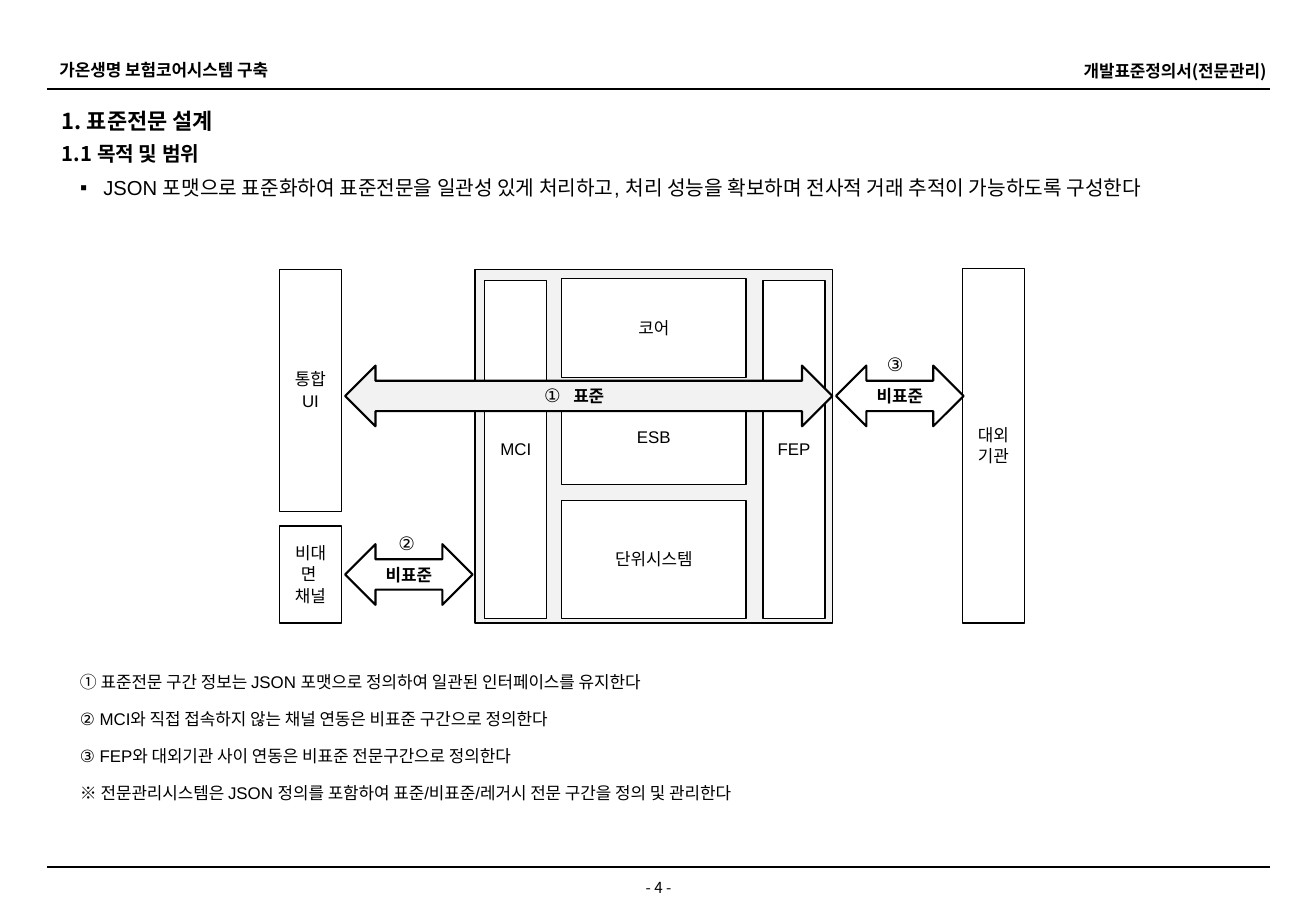
from lxml.etree import SubElement
from pptx import Presentation
from pptx.dml.color import RGBColor
from pptx.enum.shapes import MSO_CONNECTOR, MSO_SHAPE
from pptx.enum.text import MSO_ANCHOR, MSO_AUTO_SIZE, PP_ALIGN
from pptx.oxml.ns import qn
from pptx.util import Inches, Pt

NOTO, ARIAL, TIMES = "Noto Sans CJK KR", "Arial", "Times New Roman"
LEFT, MID, RIGHT = PP_ALIGN.LEFT, PP_ALIGN.CENTER, PP_ALIGN.RIGHT


def paint(text):
    return RGBColor.from_string(text)


class Page:
    ink, white, gray = "000000", "FFFFFF", "F2F2F2"

    def __init__(self, deck):
        self.slide = deck.slides.add_slide(deck.slide_layouts[1])
        self.shapes = self.slide.shapes

    def run(self, para, text, size, font, bold=False):
        run = para.add_run()
        run.text = text
        run.font.size = Pt(size)
        run.font.name = font
        run.font.bold = bold
        run.font.color.rgb = paint(self.ink)
        SubElement(run.font._element, qn("a:ea"), typeface=NOTO)

    def fill_in(self, frame, lines, size, font, bold=False, align=LEFT, pitch=1.0, after=0):
        for i, line in enumerate(lines):
            para = frame.add_paragraph() if i else frame.paragraphs[0]
            para.alignment = align
            para.line_spacing = pitch
            para.space_before = Pt(0)
            para.space_after = Pt(after)
            self.run(para, line, size, font, bold)

    def place(self, shape, area):
        shape.left, shape.top, shape.width, shape.height = map(Inches, area)
        frame = shape.text_frame
        frame.word_wrap = True
        frame.auto_size = MSO_AUTO_SIZE.NONE
        frame.vertical_anchor = MSO_ANCHOR.TOP
        return frame

    def title(self, area, parts):
        frame = self.place(self.shapes.title, area)
        para = frame.paragraphs[0]
        para.alignment = LEFT
        para.line_spacing = 1.3
        for i, (text, size) in enumerate(parts):
            if i:
                para.add_line_break()
            self.run(para, text, size, NOTO, True)

    def bullets(self, area, lines):
        frame = self.place(self.slide.placeholders[1], area)
        self.fill_in(frame, lines, 12, ARIAL, pitch=1.3)
        for para in frame.paragraphs:
            prop = para._p.get_or_add_pPr()
            prop.set("marL", str(Inches(0.19)))
            prop.set("indent", str(Inches(-0.19)))
            SubElement(prop, qn("a:buChar"), char="▪")

    def text(self, area, lines, size, font, wrap=True, **style):
        frame = self.shapes.add_textbox(*map(Inches, area)).text_frame
        frame.word_wrap = wrap
        self.fill_in(frame, lines, size, font, **style)

    def rule(self, y, width):
        line = self.shapes.add_connector(
            MSO_CONNECTOR.STRAIGHT, Inches(0.39), Inches(y), Inches(10.45), Inches(y))
        line.line.color.rgb = paint(self.ink)
        line.line.width = Pt(width)
        SubElement(line._element.spPr, qn("a:effectLst"))

    def shape(self, kind, area, fill, width):
        shape = self.shapes.add_shape(kind, *map(Inches, area))
        shape.shadow.inherit = False
        if fill:
            shape.fill.solid()
            shape.fill.fore_color.rgb = paint(fill)
        else:
            shape.fill.background()
        shape.line.color.rgb = paint(self.ink)
        shape.line.width = Pt(width)
        frame = shape.text_frame
        frame.word_wrap = True
        frame.vertical_anchor = MSO_ANCHOR.MIDDLE
        return frame

    def box(self, area, lines=(), fill=white):
        frame = self.shape(MSO_SHAPE.RECTANGLE, area, fill, 0.75)
        frame.margin_left = frame.margin_right = frame.margin_bottom = Inches(0.09)
        frame.margin_top = Inches(0.07)
        self.fill_in(frame, lines, 10, ARIAL, align=MID, pitch=1.06)

    def arrow(self, x, y, width, label, fill=None):
        frame = self.shape(MSO_SHAPE.LEFT_RIGHT_ARROW, (x, y, width, 0.5), fill, 1.25)
        self.fill_in(frame, [label], 10, TIMES, bold=True, align=MID)


def main():
    deck = Presentation()
    deck.slide_width, deck.slide_height = Inches(10.83), Inches(7.5)
    page = Page(deck)

    page.rule(0.73, 1.25)
    page.rule(7.14, 1)
    page.text((8.04, 0.45, 2.48, 0.27), ["개발표준정의서(전문관리)"], 10, NOTO, bold=True, align=RIGHT)
    page.text((4.18, 7.18, 2.48, 0.25), ["- 4 -"], 9, NOTO, align=MID)
    page.text((0.39, 0.44, 2.48, 0.27), ["가온생명 보험코어시스템 구축"], 10, NOTO, bold=True)

    page.title((0.41, 0.77, 9.98, 0.6), [("1. 표준전문 설계 ", 13), ("1.1 목적 및 범위", 12)])
    page.bullets((0.56, 1.33, 9.6, 0.89), [
        "JSON 포맷으로 표준화하여 표준전문을 일관성 있게 처리하고, "
        "처리 성능을 확보하며 전사적 거래 추적이 가능하도록 구성한다"])

    page.box((3.91, 2.22, 2.94, 2.91), fill=page.gray)
    for x, y, high, lines in [
        (2.3, 2.22, 1.99, ["통합UI"]),
        (2.3, 4.33, 0.8, ["비대면 ", "채널"]),
        (3.99, 2.31, 2.78, ["MCI"]),
        (6.28, 2.31, 2.78, ["FEP"]),
        (7.92, 2.21, 2.92, ["대외기관"]),
    ]:
        page.box((x, y, 0.51, high), lines)
    for y, high, name in [(2.29, 0.82, "코어"), (3.21, 0.78, "ESB"), (4.12, 0.97, "단위시스템")]:
        page.box((4.62, y, 1.52, high), [name])

    page.arrow(2.84, 4.48, 1.05, "비표준")
    page.arrow(2.84, 3.01, 4.01, "표준", page.gray)
    page.arrow(6.88, 3.01, 1.05, "비표준")
    for x, y, mark in [(4.38, 3.11, "①"), (3.18, 4.33, "②"), (7.2, 2.86, "③")]:
        page.text((x, y, 0.36, 0.29), [mark], 11, ARIAL, wrap=False)

    page.text((0.56, 5.48, 9.59, 1.28), [
        "① 표준전문 구간 정보는 JSON 포맷으로 정의하여 일관된 인터페이스를 유지한다",
        "② MCI와 직접 접속하지 않는 채널 연동은 비표준 구간으로 정의한다",
        "③ FEP와 대외기관 사이 연동은 비표준 전문구간으로 정의한다",
        "※ 전문관리시스템은 JSON 정의를 포함하여 표준/비표준/레거시 전문 구간을 정의 및 관리한다",
    ], 10, ARIAL, after=10)

    deck.save("out.pptx")


if __name__ == "__main__":
    main()
